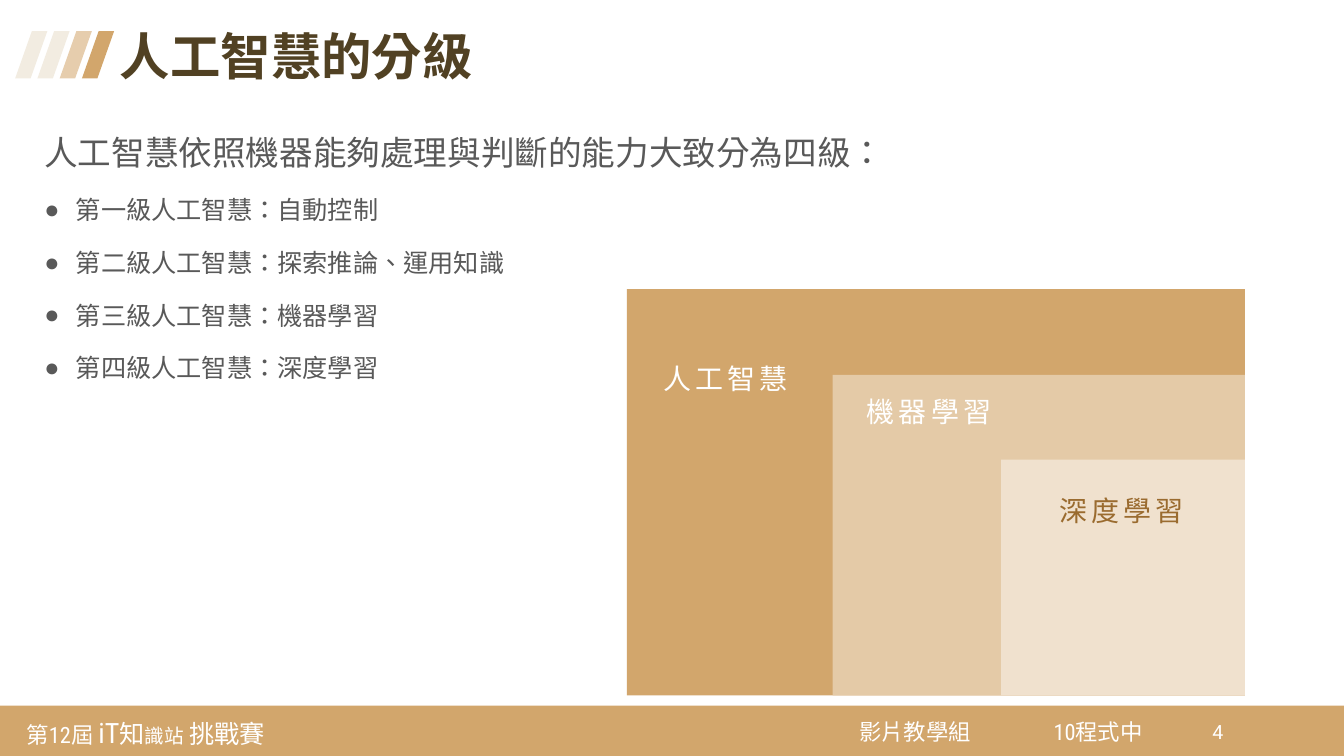
import pptx
import pptx.util
import pptx.dml.color
import pptx.enum.shapes
import pptx.enum.text
import lxml.etree

Pt = pptx.util.Pt
RGBColor = pptx.dml.color.RGBColor
KIND = pptx.enum.shapes.MSO_SHAPE
FIT = pptx.enum.text.MSO_AUTO_SIZE
ANCHOR = pptx.enum.text.MSO_ANCHOR
ALIGN = pptx.enum.text.PP_ALIGN

TAN = RGBColor(0xD2, 0xA6, 0x6C)
SAND = RGBColor(0xE6, 0xCD, 0xAD)
CREAM = RGBColor(0xF2, 0xEC, 0xE1)
MID = RGBColor(0xE4, 0xCA, 0xA7)
PALE = RGBColor(0xF0, 0xE1, 0xCE)
WHITE = RGBColor(0xFF, 0xFF, 0xFF)
DARK = RGBColor(0x51, 0x41, 0x23)
GREY = RGBColor(0x59, 0x59, 0x59)
BROWN = RGBColor(0x9A, 0x6B, 0x2F)

deck = pptx.Presentation()
deck.slide_width, deck.slide_height = Pt(960), Pt(540)
slide = deck.slides.add_slide(deck.slide_layouts[1])


def add_run(para, text, size, color, face="Arial"):
    run = para.add_run()
    run.text = text
    run.font.size = Pt(size)
    run.font.name = face
    run.font.color.rgb = color
    run.font._element.set("lang", "zh-TW")
    return run


def add_block(kind, left, top, width, height, color):
    block = slide.shapes.add_shape(kind, Pt(left), Pt(top), Pt(width), Pt(height))
    block.shadow.inherit = False
    block.fill.solid()
    block.fill.fore_color.rgb = color
    block.line.fill.background()
    return block


add_block(KIND.RECTANGLE, 0, 504, 960, 36, TAN)

notes = [
    (13, 505.4, 204, 35.3, [("第12屆 ", 16), ("iT", 20), ("知", 18), ("識站", 14), (" 挑戰賽", 18)]),
    (607.7, 506.9, 95.8, 31, [("影片教學組", 16)]),
    (746.6, 506.9, 95.8, 31, [("10程式中", 16)]),
]
for left, top, width, height, parts in notes:
    box = slide.shapes.add_textbox(Pt(left), Pt(top), Pt(width), Pt(height))
    frame = box.text_frame
    frame.word_wrap = True
    frame.vertical_anchor = ANCHOR.MIDDLE
    frame.margin_left = frame.margin_right = Pt(6)
    frame.margin_top = frame.margin_bottom = Pt(6)
    for text, size in parts:
        add_run(frame.paragraphs[0], text, size, WHITE, "Roboto Condensed")

box = slide.shapes.add_textbox(Pt(859), Pt(510.5), Pt(30), Pt(29.5))
box.text_frame.word_wrap = True
add_run(box.text_frame.paragraphs[0], "4", 14, WHITE, "Roboto")

for step, color in enumerate([CREAM, CREAM, SAND, TAN]):
    slash = add_block(KIND.PARALLELOGRAM, 10.8 + 15.9 * step, 22.3, 23, 33.8, color)
    slash.adjustments[0] = 0.52

title = slide.shapes.title
title.left, title.top, title.width, title.height = Pt(78.5), Pt(19.4), Pt(733.7), Pt(46.8)
frame = title.text_frame
frame.auto_size = FIT.NONE
frame.vertical_anchor = ANCHOR.TOP
para = frame.paragraphs[0]
para.alignment = ALIGN.LEFT
para.line_spacing = 0.9
add_run(para, "人工智慧的分級", 36, DARK).font.bold = True

body = slide.placeholders[1]
body.left, body.top, body.width, body.height = Pt(24.5), Pt(82.8), Pt(671), Pt(216)
frame = body.text_frame
frame.auto_size = FIT.NONE
frame.margin_left = frame.margin_right = Pt(7.2)
frame.margin_top = frame.margin_bottom = Pt(7.2)
lines = [
    "人工智慧依照機器能夠處理與判斷的能力大致分為四級：",
    "第一級人工智慧：自動控制",
    "第二級人工智慧：探索推論、運用知識",
    "第三級人工智慧：機器學習",
    "第四級人工智慧：深度學習",
]
for spot, line in enumerate(lines):
    para = frame.add_paragraph() if spot else frame.paragraphs[0]
    para.space_before, para.space_after = Pt(0), Pt(16)
    para.line_spacing = 1.0 if spot else 1.15
    props = para._p.get_or_add_pPr()
    inset = Pt(22.5) if spot else 0
    props.set("marL", str(inset))
    props.set("indent", str(-inset))
    mark = "buChar" if spot else "buNone"
    node = lxml.etree.SubElement(props, pptx.oxml.ns.qn("a:" + mark))
    if spot:
        node.set("char", "●")
    add_run(para, line, 18 if spot else 24, GREY)

RIGHT, BASE = 889.2, 496.8
nest = [
    (447.8, 206.6, TAN, "人工智慧", 466.6, 254.9, WHITE),
    (594.7, 267.8, MID, "機器學習", 612, 278.6, WHITE),
    (715, 328.3, PALE, "深度學習", 749.5, 349.2, BROWN),
]
for left, top, fill, text, across, down, color in nest:
    add_block(KIND.RECTANGLE, left, top, RIGHT - left, BASE - top, fill)
    box = slide.shapes.add_textbox(Pt(across), Pt(down), Pt(105.8), Pt(31.7))
    frame = box.text_frame
    frame.word_wrap = False
    frame.margin_right = Pt(6)
    run = add_run(frame.paragraphs[0], text, 20, color)
    run.font._element.set("spc", "300")

deck.save("out.pptx")
